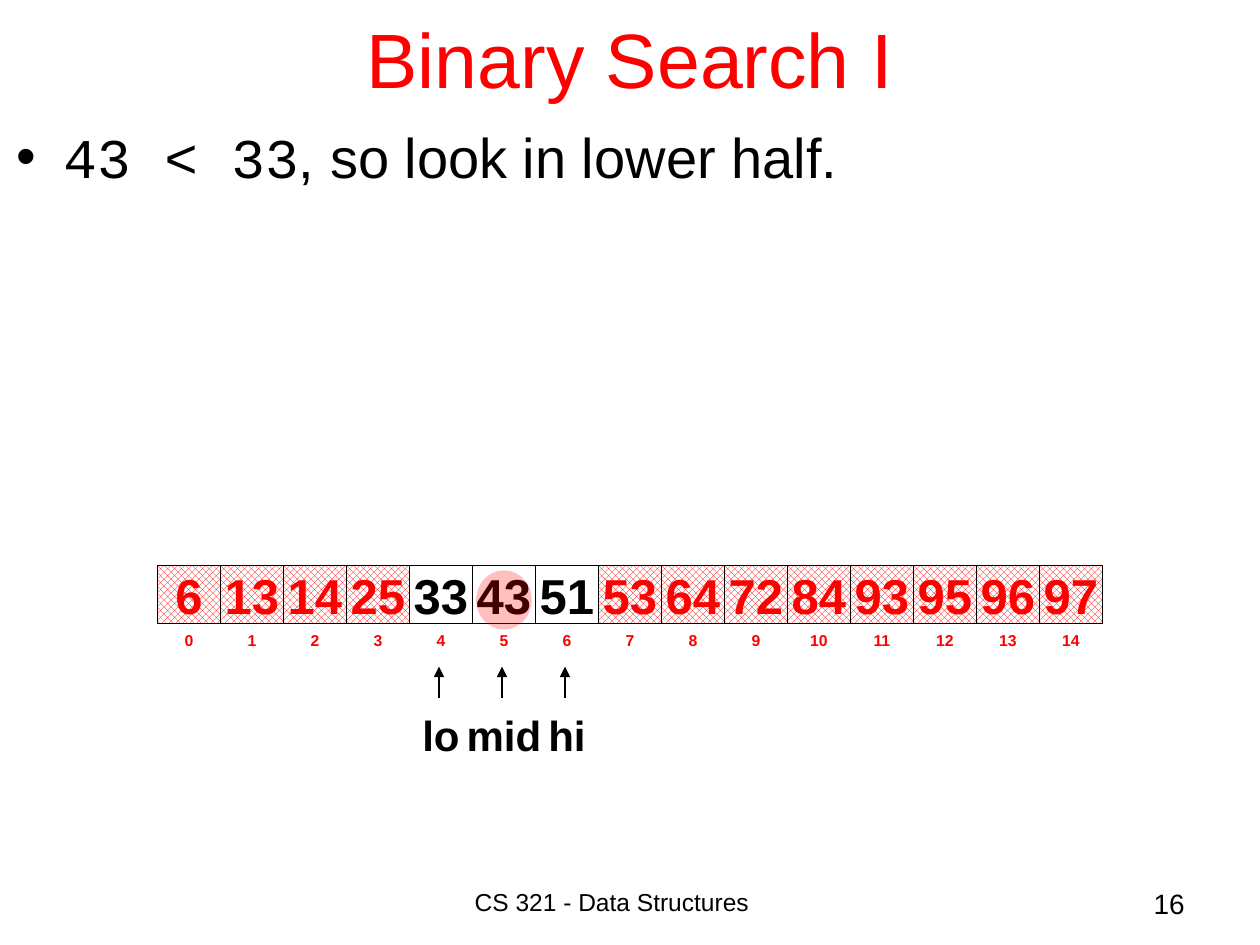
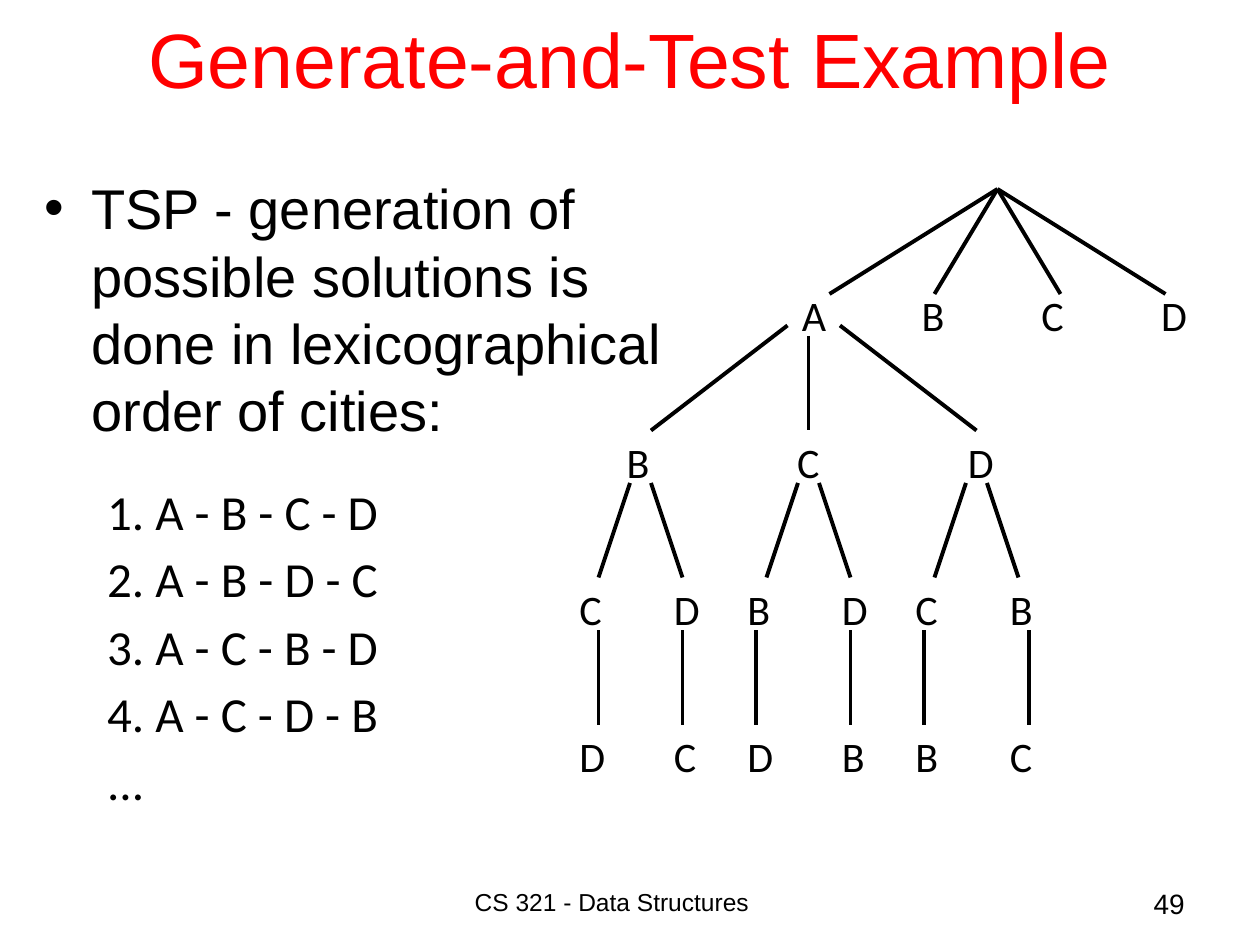
from dataclasses import dataclass

import pptx
import pptx.dml.color
import pptx.enum.dml
import pptx.enum.shapes
import pptx.enum.text
import pptx.oxml
import pptx.oxml.ns
import pptx.util

Cm = pptx.util.Cm
Pt = pptx.util.Pt
ALIGN = pptx.enum.text.PP_ALIGN
ANCHOR = pptx.enum.text.MSO_ANCHOR
SHAPE = pptx.enum.shapes.MSO_SHAPE


@dataclass(frozen=True)
class Theme:
    red: str = "FF0000"
    black: str = "000000"
    white: str = "FFFFFF"
    font: str = "Arial"
    code_font: str = "Courier New"
    tree_font: str = "Calibri"
    title: int = 44
    body: int = 32
    item: int = 28
    label: int = 24
    page: int = 16
    footer: int = 14
    index: int = 9


THEME = Theme()
WIDTH, HEIGHT = 25.4, 19.05


def rgb(color):
    return pptx.dml.color.RGBColor.from_string(color)


def set_all(target, values):
    for name, value in values.items():
        setattr(target, name, value)


def add_xml(parent, tag, **attributes):
    parent.append(parent.makeelement(pptx.oxml.ns.qn(tag), attributes))


class Deck:
    def __init__(self, theme):
        self.theme = theme
        self.presentation = pptx.Presentation()
        set_all(self.presentation, {"slide_width": Cm(WIDTH), "slide_height": Cm(HEIGHT)})
        self.slide = None

    def start_slide(self, title, number):
        """Add a blank slide with the shared title and footer."""
        layout = self.presentation.slide_layouts[6]
        self.slide = self.presentation.slides.add_slide(layout)
        theme = self.theme
        self.text(title, 1.9, -0.43, 21.6, 3.18, theme.title, color=theme.red,
                  align=ALIGN.CENTER, anchor=ANCHOR.MIDDLE)
        self.text("CS 321 - Data Structures", 9.32, 17.75, 8.46, 1.27, theme.footer)
        self.text(str(number), 18.85, 17.75, 5.28, 1.27, theme.page, align=ALIGN.RIGHT)

    def run(self, paragraph, text, size, font=None, color=None, bold=False):
        run = paragraph.add_run()
        run.text = text
        set_all(run.font, {"name": font or self.theme.font, "size": Pt(size), "bold": bold})
        run.font.color.rgb = rgb(color or self.theme.black)

    def frame(self, left, top, width, height, anchor=ANCHOR.TOP):
        box = self.slide.shapes.add_textbox(Cm(left), Cm(top), Cm(width), Cm(height))
        set_all(box.text_frame, {"word_wrap": True, "vertical_anchor": anchor})
        return box.text_frame

    def text(self, text, left, top, width, height, size,
             align=ALIGN.LEFT, anchor=ANCHOR.TOP, **font_format):
        paragraph = self.frame(left, top, width, height, anchor).paragraphs[0]
        paragraph.alignment = align
        self.run(paragraph, text, size, **font_format)

    def bullet(self, frame, runs):
        """Fill the first paragraph with (text, font) runs behind a bullet."""
        paragraph = frame.paragraphs[0]
        self.indent(paragraph, 0.95, 0.95)
        properties = paragraph._p.get_or_add_pPr()
        add_xml(properties, "a:buFont", typeface=self.theme.font)
        add_xml(properties, "a:buChar", char="•")
        for text, font in runs:
            self.run(paragraph, text, self.theme.body, font)

    def indent(self, paragraph, left, hanging):
        properties = paragraph._p.get_or_add_pPr()
        properties.set("marL", str(Cm(left)))
        properties.set("indent", str(-Cm(hanging)))

    def shape(self, kind, left, top, width, height):
        shape = self.slide.shapes.add_shape(kind, Cm(left), Cm(top), Cm(width), Cm(height))
        shape.shadow.inherit = False
        return shape

    def cell(self, text, left, top, width, height, size, color, line):
        """Add an outlined, unfilled rectangle with bold centred text."""
        cell = self.shape(SHAPE.RECTANGLE, left, top, width, height)
        cell.fill.background()
        cell.line.color.rgb = rgb(line)
        cell.line.width = Pt(0.75)
        set_all(cell.text_frame, {"word_wrap": False, "vertical_anchor": ANCHOR.MIDDLE})
        paragraph = cell.text_frame.paragraphs[0]
        paragraph.alignment = ALIGN.CENTER
        self.run(paragraph, text, size, color=color, bold=True)
        return cell

    def hatch(self, shape):
        shape.fill.patterned()
        shape.fill.pattern = pptx.enum.dml.MSO_PATTERN.OUTLINED_DIAMOND
        shape.fill.fore_color.rgb = rgb(self.theme.red)
        shape.fill.back_color.rgb = rgb(self.theme.white)

    def highlight(self, center, top, width, height):
        """Add a see-through red ellipse."""
        ellipse = self.shape(SHAPE.OVAL, center - width / 2, top, width, height)
        ellipse.fill.solid()
        ellipse.fill.fore_color.rgb = rgb(self.theme.red)
        ellipse.line.fill.background()
        color = ellipse._element.spPr.find(".//" + pptx.oxml.ns.qn("a:srgbClr"))
        add_xml(color, "a:alpha", val="25000")

    def line(self, start, end, weight, arrow=False):
        connector = self.slide.shapes.add_connector(
            pptx.enum.shapes.MSO_CONNECTOR.STRAIGHT,
            *(Cm(value) for value in (*start, *end)))
        connector.line.color.rgb = rgb(self.theme.black)
        connector.line.width = Pt(weight)
        if arrow:
            add_xml(connector.line._get_or_add_ln(), "a:tailEnd", type="triangle")
        add_xml(connector._element.spPr, "a:effectLst")


def build_binary_search(deck):
    theme = deck.theme
    values = [6, 13, 14, 25, 33, 43, 51, 53, 64, 72, 84, 93, 95, 96, 97]
    pointers = {"lo": 4, "mid": 5, "hi": 6}
    cell_width = 1.27
    row_left = (WIDTH - len(values) * cell_width) / 2

    def center(index):
        return row_left + (index + 0.5) * cell_width

    deck.start_slide("Binary Search I", 16)
    for index, value in enumerate(values):
        left = row_left + index * cell_width
        deck.cell(str(index), left, 12.65, cell_width, 0.53, theme.index,
                  theme.red, theme.white)
        searched = pointers["lo"] <= index <= pointers["hi"]
        cell = deck.cell(str(value), left, 11.4, cell_width, 1.17, theme.item,
                         theme.black if searched else theme.red, theme.black)
        if not searched:
            deck.hatch(cell)

    for name, index in pointers.items():
        deck.text(name, center(index) - 1.02, 14.17, 2.04, 1.3, theme.label,
                  align=ALIGN.CENTER, bold=True)
        arrow_x = center(index) - 0.04
        deck.line((arrow_x, 14.07), (arrow_x, 13.44), 0.75, arrow=True)
    deck.highlight(center(pointers["mid"]), 11.5, 1.12, 1.19)

    deck.bullet(deck.frame(0.08, 2.34, 25.32, 5.92),
                [("43 < 33", theme.code_font), (", so look in lower half.", theme.font)])


def build_tour_tree(deck):
    theme = deck.theme
    unit = 2.54 / 12  # the tree sits on a grid of this many centimetres

    def edge(*points):
        start, end = ([value * unit for value in point] for point in points)
        deck.line(start, end, 2.25)

    deck.start_slide("Generate-and-Test Example", 49)
    frame = deck.frame(0.64, 3.38, 13.34, 11.43)
    deck.bullet(frame, [("TSP - generation of possible solutions is done in "
                         "lexicographical order of cities:", theme.font)])
    tours = ["1. A - B - C - D", "2. A - B - D - C", "3. A - C - B - D",
             "4. A - C - D - B", "..."]
    for position, tour in enumerate(tours):
        paragraph = frame.add_paragraph()
        paragraph.space_before = Pt(5 if position else 22)
        deck.indent(paragraph, 2.06, 0.79)
        deck.run(paragraph, tour, theme.item, theme.tree_font)

    leaf_lefts = [54, 63, 70, 79, 86, 95]
    levels = [
        ("ABCD", [75.2 + 11.4 * column for column in range(4)]),
        ("BCD", [58.5 + 16.25 * column for column in range(3)]),
        ("CDBDCB", leaf_lefts),
        ("DCDBBC", leaf_lefts),
    ]
    for depth, (cities, lefts) in enumerate(levels):
        for city, left in zip(cities, lefts):
            deck.text(city, left * unit, (27 + 14 * depth) * unit, 1.12, 1.27,
                      theme.label, font=theme.tree_font)

    for x in (79, 89, 101, 111):
        edge((95, 18), (x, 28))
    for start, end_x in (((75, 31), 62), ((77, 32), 77), ((80, 31), 93)):
        edge(start, (end_x, 41))
    for shift in (0, 16, 32):
        edge((60 + shift, 46), (57 + shift, 55))
        edge((62 + shift, 46), (65 + shift, 55))
    for x in (57, 65, 72, 81, 88, 98):
        edge((x, 60), (x, 69))


def main():
    deck = Deck(THEME)
    build_binary_search(deck)
    build_tour_tree(deck)
    deck.presentation.save("out.pptx")


if __name__ == "__main__":
    main()
